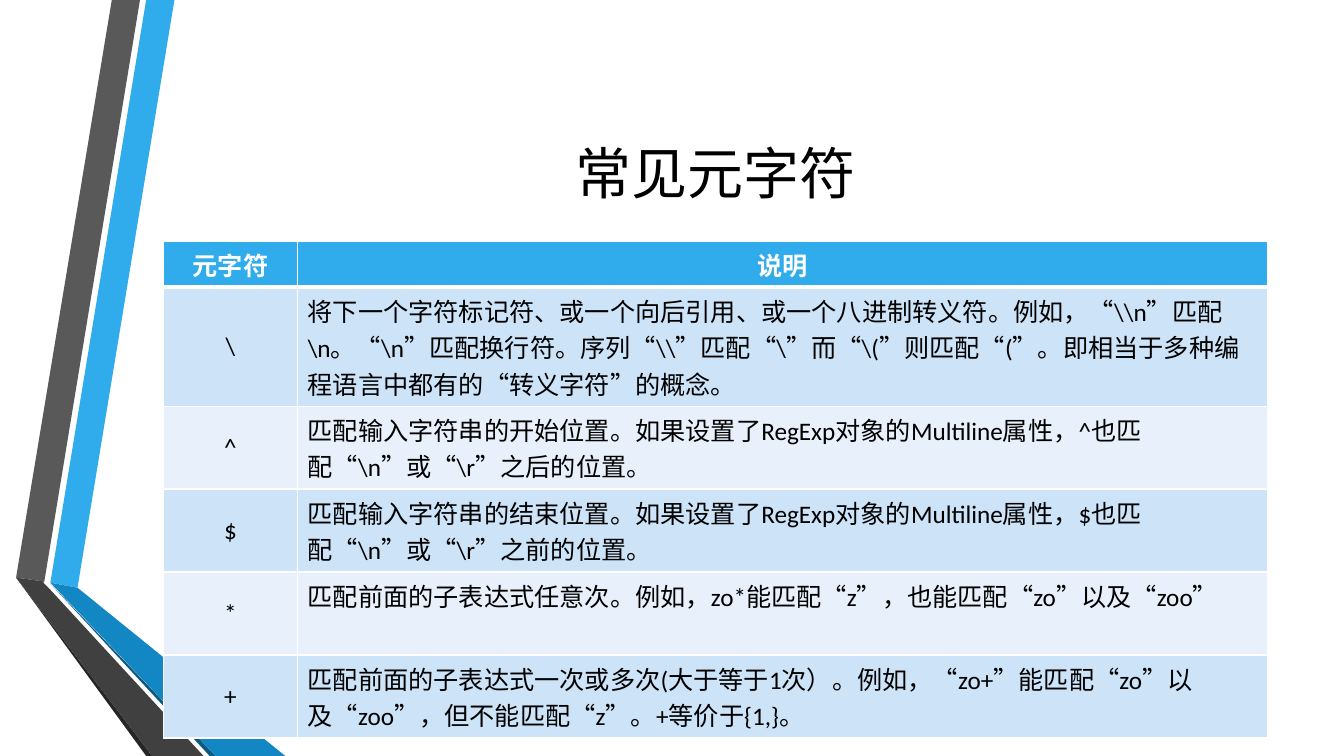
from dataclasses import dataclass

from lxml import etree
from pptx import Presentation
from pptx import util as u
from pptx.dml.color import RGBColor
from pptx.enum import text
from pptx.oxml.ns import qn


@dataclass(frozen=True)
class Theme:
    font: str = "Calibri"
    title_size: float = 40
    table_size: float = 18
    black: str = "000000"
    white: str = "FFFFFF"
    blue: str = "30ACEC"
    blue_fold: str = "1287C3"
    blue_edge: str = "0C5A82"
    grey: str = "595959"
    grey_fold: str = "404040"
    grey_edge: str = "262626"
    bands: tuple[str, str] = ("CDE3F8", "E8F1FB")


@dataclass(frozen=True)
class Ribbon:
    color: str
    points: tuple[tuple[float, float], ...]


@dataclass(frozen=True)
class Metacharacter:
    symbol: str
    meaning: str
    height: float = 59.3


THEME = Theme()
LEFT, WIDTH = 116.64, 789
COLUMN_WIDTHS = (96, WIDTH - 96)
CENTER = text.PP_ALIGN.CENTER
MIDDLE = text.MSO_ANCHOR.MIDDLE
TOP = text.MSO_ANCHOR.TOP

RIBBONS = (
    Ribbon(THEME.blue, ((36, 416.2), (55.4, 419.8), (124.6, 0), (104.4, 0))),
    Ribbon(THEME.grey, ((100, 0), (79.9, 0), (11.5, 412.6), (31.7, 415.4))),
    Ribbon(THEME.grey_edge, ((11.5, 412.6), (104.4, 540), (108.7, 540))),
    Ribbon(THEME.blue_edge, ((36, 416.9), (149.8, 540), (154.1, 540))),
    Ribbon(THEME.blue_fold, ((36, 416.2), (154.1, 540), (203.8, 540), (55.4, 419.8))),
    Ribbon(THEME.grey_fold, ((145.4, 540), (34.6, 419.8), (31, 416.2), (31.7, 415.4),
                             (11.5, 412.6), (108.7, 540))),
)

HEADER = Metacharacter("元字符", "说明", 33)
METACHARACTERS = (
    Metacharacter("\\", r"将下一个字符标记符、或一个向后引用、或一个八进制转义符。例如，“\\n”匹配\n。"
                        r"“\n”匹配换行符。序列“\\”匹配“\”而“\(”则匹配“(”。"
                        r"即相当于多种编程语言中都有的“转义字符”的概念。", 85),
    Metacharacter("^", r"匹配输入字符串的开始位置。如果设置了RegExp对象的Multiline属性，"
                       r"^也匹配“\n”或“\r”之后的位置。"),
    Metacharacter("$", r"匹配输入字符串的结束位置。如果设置了RegExp对象的Multiline属性，"
                       r"$也匹配“\n”或“\r”之前的位置。"),
    Metacharacter("*", "匹配前面的子表达式任意次。例如，zo*能匹配“z”，也能匹配“zo”以及“zoo”"),
    Metacharacter("+", "匹配前面的子表达式一次或多次(大于等于1次）。例如，“zo+”能匹配“zo”以及“zoo”，"
                       "但不能匹配“z”。+等价于{1,}。"),
)


def write(frame, words: str, size: float, color: str, align=None, bold: bool = False) -> None:
    para = frame.paragraphs[0]
    para.alignment = align
    span = para.add_run()
    span.text = words
    formats = {"name": THEME.font, "size": u.Pt(size), "bold": bold}
    for name, value in formats.items():
        setattr(span.font, name, value)
    span.font.color.rgb = RGBColor.from_string(color)


def draw_ribbon(page, ribbon: Ribbon) -> None:
    start, *rest = [(u.Pt(x), u.Pt(y)) for x, y in ribbon.points]
    builder = page.shapes.build_freeform(*start)
    builder.add_line_segments(rest, close=True)
    shape = builder.convert_to_shape()
    shape.shadow.inherit = False
    shape.fill.solid()
    shape.fill.fore_color.rgb = RGBColor.from_string(ribbon.color)
    shape.line.fill.background()


def draw_title(page, words: str) -> None:
    box = page.shapes.add_textbox(u.Pt(LEFT), u.Pt(54), u.Pt(WIDTH), u.Pt(138.24))
    formats = {"word_wrap": True, "vertical_anchor": MIDDLE}
    for name, value in formats.items():
        setattr(box.text_frame, name, value)
    write(box.text_frame, words, THEME.title_size, THEME.black, CENTER)


def set_borders(cell, widths: dict[str, float]) -> None:
    properties = cell._tc.get_or_add_tcPr()
    for index, (side, width) in enumerate(widths.items()):
        line = etree.Element(qn(f"a:ln{side}"), w=str(u.Pt(width)))
        fill = etree.SubElement(line, qn("a:solidFill"))
        etree.SubElement(fill, qn("a:srgbClr"), val=THEME.white)
        properties.insert(index, line)


def draw_table(page, entries: tuple[Metacharacter, ...]) -> None:
    height = sum(entry.height for entry in entries)
    table = page.shapes.add_table(len(entries), len(COLUMN_WIDTHS), u.Pt(LEFT), u.Pt(172.08),
                                  u.Pt(WIDTH), u.Pt(height)).table
    for column, width in zip(table.columns, COLUMN_WIDTHS):
        column.width = u.Pt(width)
    for row, entry in enumerate(entries):
        table.rows[row].height = u.Pt(entry.height)
        header = row == 0
        fill = THEME.blue if header else THEME.bands[(row - 1) % 2]
        color = THEME.white if header else THEME.black
        for column, words in enumerate((entry.symbol, entry.meaning)):
            cell = table.cell(row, column)
            symbol = column == 0
            cell.vertical_anchor = MIDDLE if symbol and not header else TOP
            cell.fill.solid()
            cell.fill.fore_color.rgb = RGBColor.from_string(fill)
            set_borders(cell, {"L": 1, "R": 1, "T": 3 if row == 1 else 1, "B": 3 if header else 1})
            align = CENTER if symbol or header else None
            write(cell.text_frame, words, THEME.table_size, color, align, header)


def main() -> None:
    """Build the slide on common regular expression metacharacters."""
    deck = Presentation()
    deck.slide_width, deck.slide_height = u.Pt(960), u.Pt(540)
    page = deck.slides.add_slide(deck.slide_layouts[6])
    for ribbon in RIBBONS:
        draw_ribbon(page, ribbon)
    draw_title(page, "常见元字符")
    draw_table(page, (HEADER, *METACHARACTERS))
    deck.save("out.pptx")


if __name__ == "__main__":
    main()
